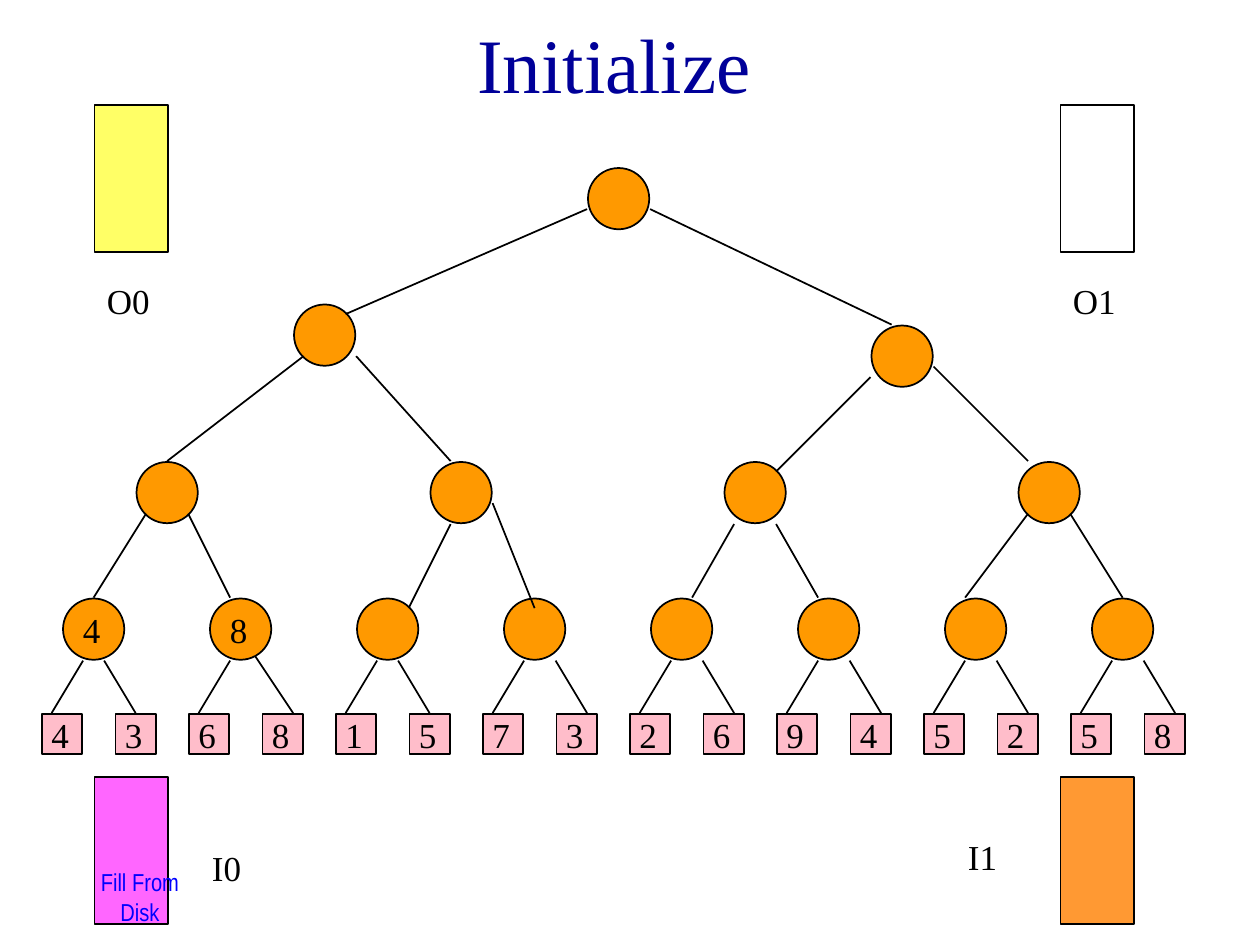
from pptx import Presentation
from pptx.dml.color import RGBColor
from pptx.enum.shapes import MSO_CONNECTOR, MSO_SHAPE
from pptx.enum.text import MSO_ANCHOR, PP_ALIGN
from pptx.oxml.ns import qn
from pptx.util import Pt

RECTANGLE = MSO_SHAPE.RECTANGLE
OVAL = MSO_SHAPE.OVAL
STRAIGHT = MSO_CONNECTOR.STRAIGHT
LEFT, CENTER = PP_ALIGN.LEFT, PP_ALIGN.CENTER
TOP, MIDDLE = MSO_ANCHOR.TOP, MSO_ANCHOR.MIDDLE

SERIF = "Times New Roman"
NARROW = "Arial Narrow"
BLACK = "000000"
NAVY = "000099"
BLUE = "0000FF"
ORANGE = "FF9900"
PINK = "FFBDCA"

NODE_SIZE = 35
LEAF_SIZE = 23
LEAF_PITCH = 42
BUFFER_WIDTH, BUFFER_HEIGHT = 42, 84
LABEL_HEIGHT = 31
DIGIT_WIDTH = 24.5

LEAF_DIGITS = [4, 3, 6, 8, 1, 5, 7, 3, 2, 6, 9, 4, 5, 2, 5, 8]
WINNERS = [4, 8]
FIRST_MATCH = 7
FIRST_LEAF = 15
FRONT_NODE = 8

PORT_STEP = 6
PORT_SHIFT = -0.5
LEFT_SIDE, LEFT_LOW = (0, 4), (0, 5)
RIGHT_SIDE, RIGHT_LOW = (6, 4), (6, 5)
LOWER_LEFT, LOWER_RIGHT = (1, 5), (5, 5)
UPPER_MIDDLE, UPPER_RIGHT = (3, 1), (5, 1)
INNER_RIGHT = (4, 5)
TOP_1, TOP_2, TOP_3, TOP_4 = [(column, 0) for column in range(1, 5)]
BOTTOM_1, BOTTOM_2, BOTTOM_4, BOTTOM_5 = [(column, 6) for column in (1, 2, 4, 5)]

NODE_PORTS = [
    (LEFT_SIDE, UPPER_RIGHT), (RIGHT_SIDE, TOP_2),
    (LOWER_LEFT, TOP_3), (RIGHT_LOW, TOP_2),
    (LEFT_LOW, UPPER_RIGHT), (RIGHT_SIDE, TOP_1),
    (LOWER_LEFT, TOP_3), (LOWER_RIGHT, TOP_2),
    (BOTTOM_2, UPPER_RIGHT), (RIGHT_SIDE, UPPER_MIDDLE),
    (BOTTOM_1, TOP_4), (BOTTOM_5, TOP_2),
    (LOWER_LEFT, TOP_2), (LOWER_RIGHT, TOP_3),
]
LEFT_LEAF = (BOTTOM_2, TOP_1)
RIGHT_LEAF = (BOTTOM_4, TOP_2)
RIGHT_LEAF_HIGH = (INNER_RIGHT, TOP_3)
RIGHT_LEAF_WIDE = (BOTTOM_5, TOP_3)
RIGHT_LEAVES = [RIGHT_LEAF, RIGHT_LEAF_HIGH, RIGHT_LEAF] + [RIGHT_LEAF_WIDE] * 5

BUFFERS = [
    ("O0", (54, 60), "FFFF66", (54, 156)),
    ("O1", (606, 60), "FFFFFF", (606, 156)),
    ("I0", (54, 444), "FF66FF", (114, 480)),
    ("I1", (606, 444), "FF9933", (546, 474)),
]


def color(value):
    return RGBColor.from_string(value)


def set_line(line):
    line.color.rgb = color(BLACK)
    line.width = Pt(1)


def add_box(slide, kind, position, width, height, fill):
    left, top = position
    shape = slide.shapes.add_shape(kind, Pt(left), Pt(top), Pt(width), Pt(height))
    shape.shadow.inherit = False
    shape.fill.solid()
    shape.fill.fore_color.rgb = color(fill)
    set_line(shape.line)


def add_node(slide, position):
    add_box(slide, OVAL, position, NODE_SIZE, NODE_SIZE, ORANGE)


def port_point(position, port):
    return [Pt(origin + step * PORT_STEP + PORT_SHIFT)
            for origin, step in zip(position, port)]


def add_edge(slide, parent, child, ports):
    start = port_point(parent, ports[0])
    end = port_point(child, ports[1])
    connector = slide.shapes.add_connector(STRAIGHT, *start, *end)
    set_line(connector.line)
    properties = connector._element.spPr
    properties.append(properties.makeelement(qn("a:effectLst"), {}))


def add_text(slide, text, position, width, height, size=20, font=SERIF,
             fill=BLACK, align=LEFT, anchor=TOP):
    left, top = position
    box = slide.shapes.add_textbox(Pt(left), Pt(top), Pt(width), Pt(height))
    frame = box.text_frame
    frame.word_wrap = True
    frame.vertical_anchor = anchor
    paragraph = frame.paragraphs[0]
    paragraph.alignment = align
    run = paragraph.add_run()
    run.text = text
    run.font.name = font
    run.font.size = Pt(size)
    run.font.color.rgb = color(fill)


def add_digits(slide, digits, positions, shift_x, shift_y):
    for digit, (left, top) in zip(digits, positions):
        add_text(slide, str(digit), (left + shift_x, top + shift_y),
                 DIGIT_WIDTH, LABEL_HEIGHT)


def tree_row(left, top, count):
    pitch = LEAF_PITCH * len(LEAF_DIGITS) // count
    return [(left + index * pitch, top) for index in range(count)]


def tree_positions():
    root = [(336, 96)]
    semifinals = [(168, 174), (498, 186)]
    return (root + semifinals + tree_row(78, 264, 4)
            + tree_row(36, 342, 8) + tree_row(24, 408, 16))


def tree_ports():
    ports = list(NODE_PORTS)
    for right_leaf in RIGHT_LEAVES:
        ports += [LEFT_LEAF, right_leaf]
    return ports


def add_tree(slide):
    positions = tree_positions()
    leaves = positions[FIRST_LEAF:]
    for leaf in leaves:
        add_box(slide, RECTANGLE, leaf, LEAF_SIZE, LEAF_SIZE, PINK)
    for index, node in enumerate(positions[:FIRST_LEAF]):
        if index != FRONT_NODE:
            add_node(slide, node)
    for child, ports in enumerate(tree_ports(), start=1):
        parent = (child - 1) // 2
        add_edge(slide, positions[parent], positions[child], ports)
    add_node(slide, positions[FRONT_NODE])
    add_digits(slide, LEAF_DIGITS, leaves, -1.75, -4)
    add_digits(slide, WINNERS, positions[FIRST_MATCH:], 4.25, 2)


def add_buffers(slide):
    for name, position, fill, label_position in BUFFERS:
        add_box(slide, RECTANGLE, position, BUFFER_WIDTH, BUFFER_HEIGHT, fill)
        add_text(slide, name, label_position, BUFFER_WIDTH, LABEL_HEIGHT)


def main():
    presentation = Presentation()
    presentation.slide_width = Pt(720)
    presentation.slide_height = Pt(540)
    slide = presentation.slides.add_slide(presentation.slide_layouts[6])
    add_tree(slide)
    add_buffers(slide)
    add_text(slide, "Initialize", (0, 0), 702, 72, size=44, fill=NAVY,
             align=CENTER, anchor=MIDDLE)
    add_text(slide, "Fill From Disk", (48, 492), 64, 30, size=14, font=NARROW,
             fill=BLUE, align=CENTER)
    presentation.save("out.pptx")


if __name__ == "__main__":
    main()
